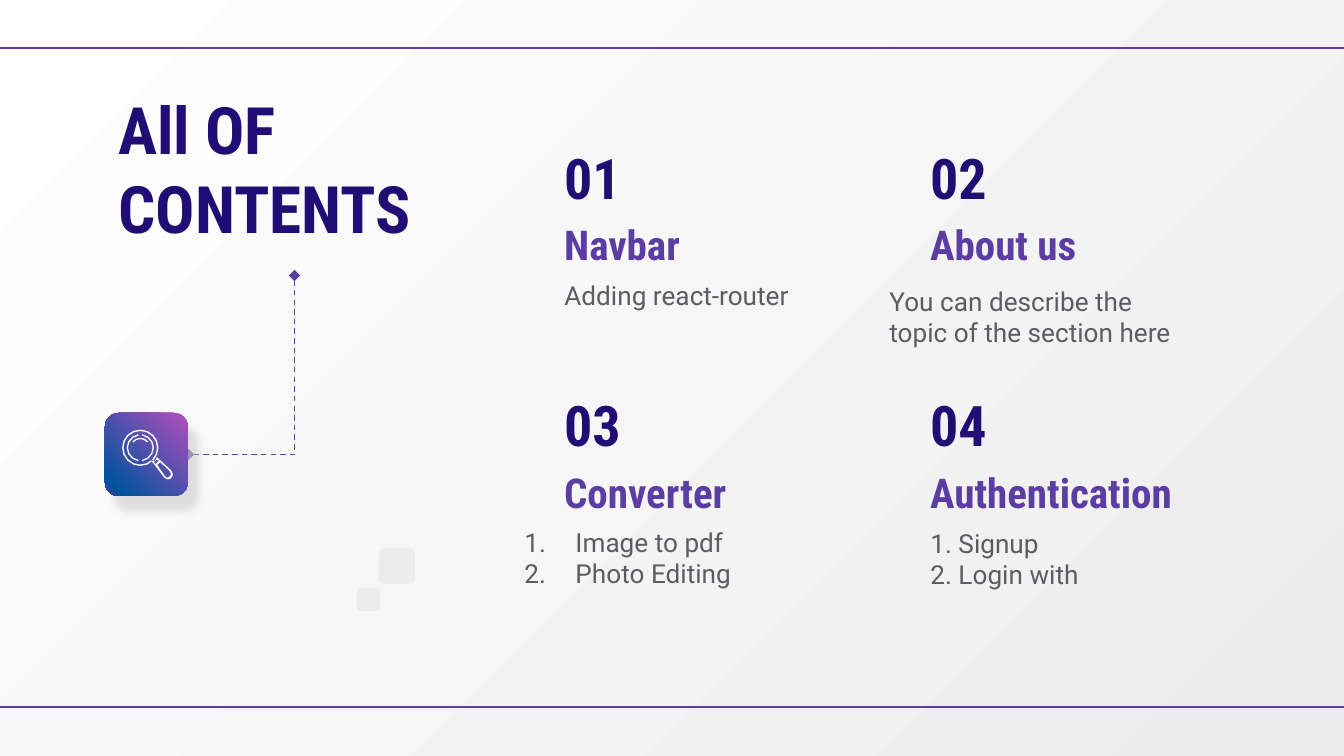
import copy
import math

from lxml import etree
from pptx import Presentation
from pptx import util as u
from pptx.dml.color import RGBColor
from pptx.enum import dml, shapes, text
from pptx.oxml import parse_xml
from pptx.oxml.ns import nsdecls, qn

PX = 9144000 / 1344
NAVY, PURPLE, GREY, PALE, WHITE = "200E74", "5C3DA4", "5C5C61", "ECECEC", "FFFFFF"
rgb = RGBColor.from_string

TITLE = {"name": "Roboto Condensed", "size": u.Pt(35), "bold": True}
NUMBER = {**TITLE, "size": u.Pt(30)}
HEADING = {**TITLE, "size": u.Pt(22)}
DETAIL = {"name": "Roboto", "size": u.Pt(14), "bold": False}


def write(box, place, lines, font, colour, anchor="TOP", numbered=False):
    """Place a text shape (left, top, width, height in px) and fill it."""
    for side, value in zip(("left", "top", "width", "height"), place):
        setattr(box, side, round(value * PX))
    frame = box.text_frame
    frame.text = "\n".join(lines)
    layout = {"word_wrap": True, "auto_size": text.MSO_AUTO_SIZE.NONE,
              "vertical_anchor": text.MSO_ANCHOR[anchor]}
    layout |= {f"margin_{side}": u.Inches(0.1)
               for side in ("left", "top", "right", "bottom")}
    for key, value in layout.items():
        setattr(frame, key, value)
    indent = round(51 * PX) if numbered else 0
    for paragraph in frame.paragraphs:
        paragraph.alignment = text.PP_ALIGN.LEFT
        paragraph.line_spacing = 1.0
        paragraph.space_before = u.Pt(0)
        props = paragraph._p.get_or_add_pPr()
        props.set("marL", str(indent))
        props.set("indent", str(-indent))
        if numbered:
            etree.SubElement(props, qn("a:buFont")).set("typeface", "Roboto")
            etree.SubElement(props, qn("a:buAutoNum")).set("type", "arabicPeriod")
        else:
            etree.SubElement(props, qn("a:buNone"))
        for run in paragraph.runs:
            for key, value in font.items():
                setattr(run.font, key, value)
            run.font.color.rgb = rgb(colour)


def gradient(fill, owner, stops, angle):
    """Give fill, held in the XML element owner, (position, colour) stops."""
    fill.gradient()
    fill.gradient_angle = angle
    stop_list = owner.find(".//" + qn("a:gsLst"))
    for _ in stops[2:]:
        stop_list.append(copy.deepcopy(stop_list[0]))
    for stop, (position, colour) in zip(fill.gradient_stops, stops):
        stop.position = position
        stop.color.rgb = rgb(colour)


prs = Presentation()
prs.slide_width, prs.slide_height = round(1344 * PX), round(756 * PX)
slide = prs.slides.add_slide(prs.slide_layouts.get_by_name("Comparison"))
gradient(slide.background.fill, slide._element, [(0, WHITE), (1, PALE)], 315)

# Rules across the top and bottom, then the dashed path to the search tile
rules = [slide.shapes.add_connector(
    shapes.MSO_CONNECTOR.STRAIGHT, 0, round(y * PX), prs.slide_width, round(y * PX))
    for y in (48, 707)]
path_ends = [round(value * PX) for value in (152, 312, 331, 418)]
dashed_path = slide.shapes.add_connector(shapes.MSO_CONNECTOR.ELBOW, *path_ends)
for line in rules + [dashed_path]:
    line.line.color.rgb = rgb(PURPLE)
    line.line.width = u.Pt(0.75)
    etree.SubElement(line._element.spPr, qn("a:effectLst"))
dashed_path.line.dash_style = dml.MSO_LINE.DASH
path_props = dashed_path._element.spPr
path_props.find(qn("a:xfrm")).set("rot", str(90 * 60000))
path_props.find(qn("a:prstGeom")).set("prst", "bentConnector2")
for end in ("a:headEnd", "a:tailEnd"):
    etree.SubElement(path_props.find(qn("a:ln")), qn(end)).set("type", "diamond")

# Title and the four sections
write(slide.shapes.title, (105, 76, 379, 200), ["All OF CONTENTS"], TITLE, NAVY)
sections = [
    ("Navbar", ["Adding react-router"], (551, 266), False),
    ("About us", ["You can describe the topic of the section here"], (876, 272), False),
    ("Converter", ["Image to pdf", "Photo Editing"], (511, 513), True),
    ("Authentication", ["1. Signup", "2. Login with"], (917, 514), False),
]
details = [holder for holder in slide.placeholders if holder.placeholder_format.idx]
for index, (heading, lines, corner, numbered) in enumerate(sections):
    row, column = divmod(index, 2)
    left = 551 + column * 366
    write(slide.shapes.add_textbox(0, 0, 0, 0), (left, 133 + row * 247, 323, 91),
          [f"{index + 1:02}"], NUMBER, NAVY, "BOTTOM")
    write(slide.shapes.add_textbox(0, 0, 0, 0), (left, 224 + row * 248, 323, 58),
          [heading], HEADING, PURPLE, "BOTTOM")
    write(details[index], (*corner, 323, 86), lines, DETAIL, GREY, numbered=numbered)

# Rounded squares: two pale ones and the search tile
squares = []
for left, top, size in [(379, 548, 36), (357, 588, 23), (105, 413, 83)]:
    square = slide.shapes.add_shape(
        shapes.MSO_SHAPE.ROUNDED_RECTANGLE,
        *(round(value * PX) for value in (left, top, size, size)))
    square.shadow.inherit = False
    square.fill.solid()
    square.fill.fore_color.rgb = rgb(PALE)
    square.line.fill.background()
    squares.append(square)
tile = squares[-1]
tile_props = tile._element.spPr
gradient(tile.fill, tile_props, [(0, "B24EBE"), (0.89, "01539D"), (1, PURPLE)], 225)
tile_props.find(qn("a:effectLst")).append(parse_xml(
    f'<a:outerShdw {nsdecls("a")} blurRad="{u.Pt(4.5)}" dist="{u.Pt(9.8)}" '
    f'dir="{55 * 60000}" algn="bl" rotWithShape="0">'
    '<a:srgbClr val="CCCCCC"><a:alpha val="60000"/></a:srgbClr></a:outerShdw>'))

# Magnifier in tenths of a px: each part is a band
# (from, to, steps, outer radius, inner radius) and further outlines
handle = [
    [(1508, 4608), (1522, 4594), (1548, 4618), (1570, 4572), (1708, 4700),
     (1730, 4745), (1712, 4785), (1680, 4795), (1645, 4780), (1534, 4632)],
    [(1540, 4624), (1570, 4594), (1588, 4608), (1558, 4640)],
    [(1572, 4650), (1602, 4622), (1695, 4708), (1714, 4745), (1680, 4780),
     (1655, 4768)],
]
magnifier = [((218, 322, 4, 100, 87), []), ((0, 360, 16, 182, 168), handle),
             ((-82, 82, 6, 136, 123), []), ((98, 262, 6, 136, 123), [])]
for (start, stop, steps, outer, inner), outlines in magnifier:
    angles = [math.radians(start + (stop - start) * step / steps)
              for step in range(steps + 1)]
    band = [(1403 + radius * math.cos(angle), 4478 + radius * math.sin(angle))
            for radius, sweep in ((outer, angles), (inner, angles[::-1]))
            for angle in sweep]
    builder = slide.shapes.build_freeform(*band[0], scale=PX / 10)
    builder.add_line_segments(band[1:], close=True)
    for outline in outlines:
        builder.move_to(*outline[0])
        builder.add_line_segments(outline[1:], close=True)
    part = builder.convert_to_shape()
    part.shadow.inherit = False
    part.fill.solid()
    part.fill.fore_color.rgb = rgb(WHITE)
    part.line.fill.background()

prs.save("out.pptx")
